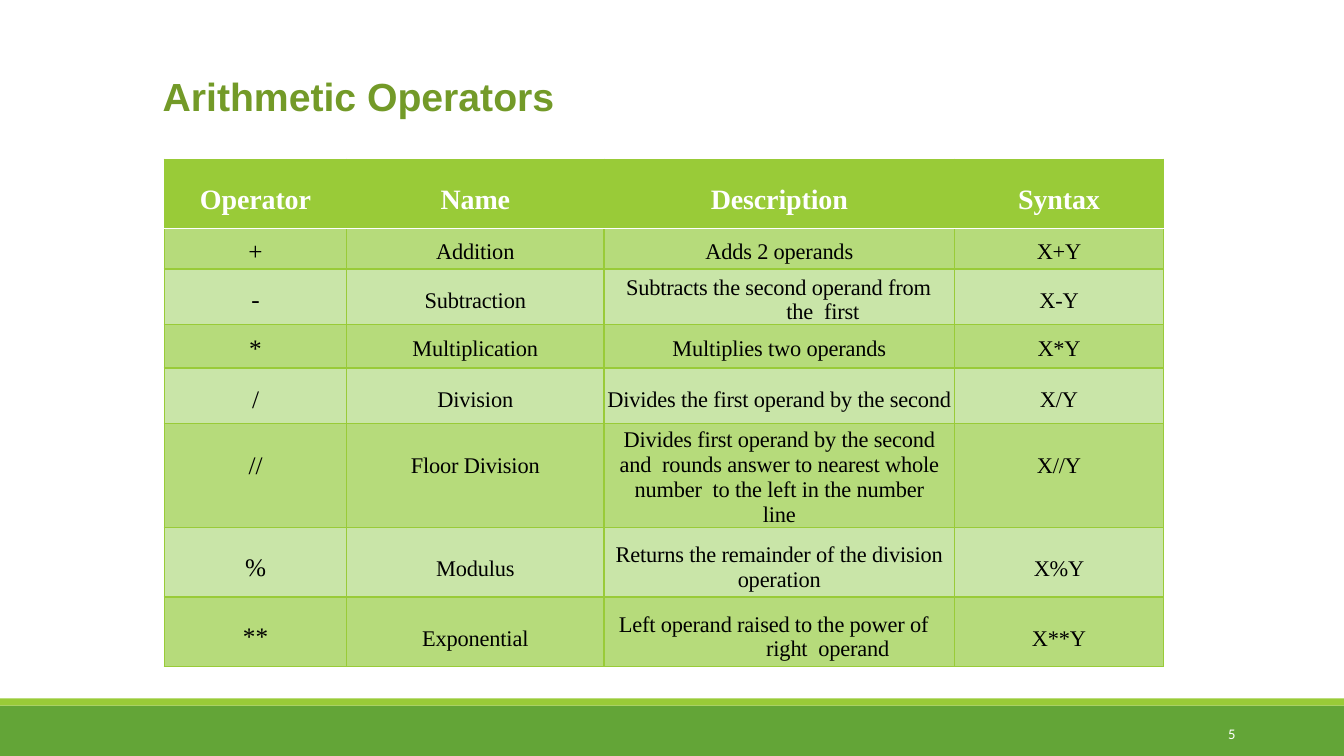
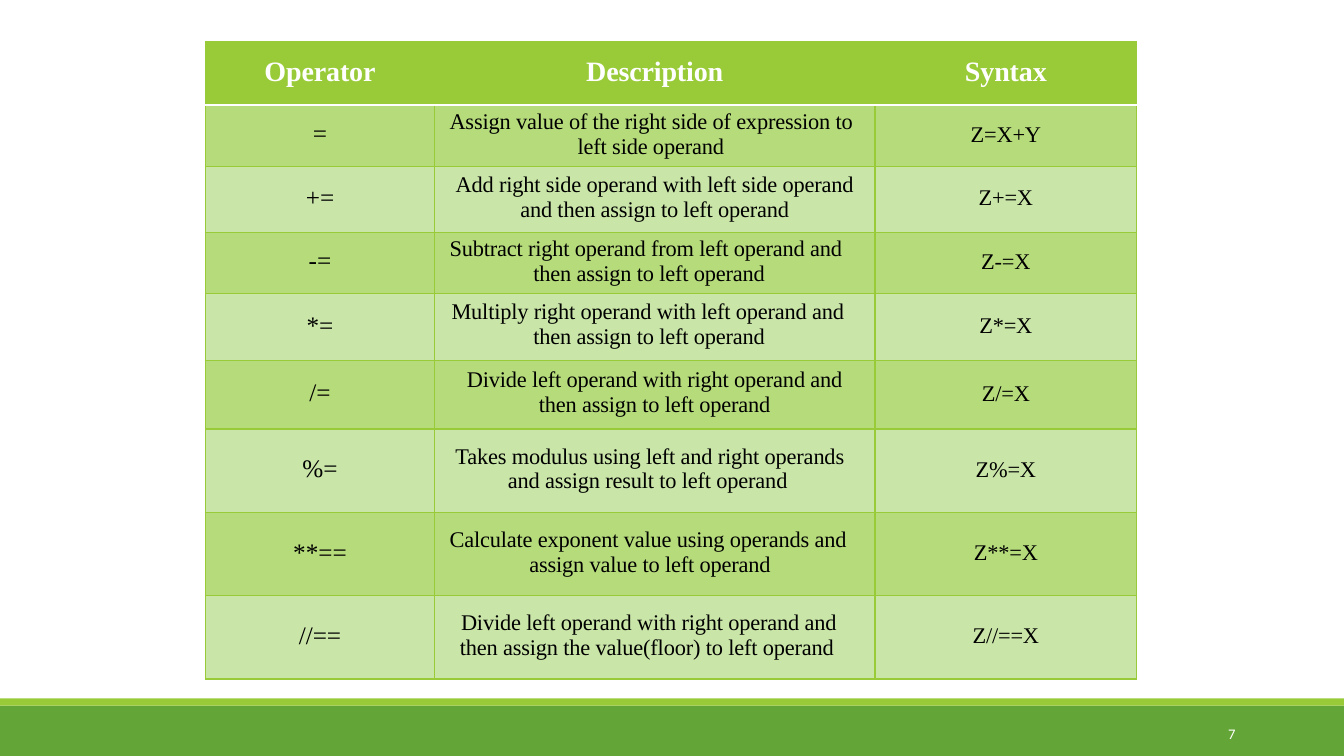
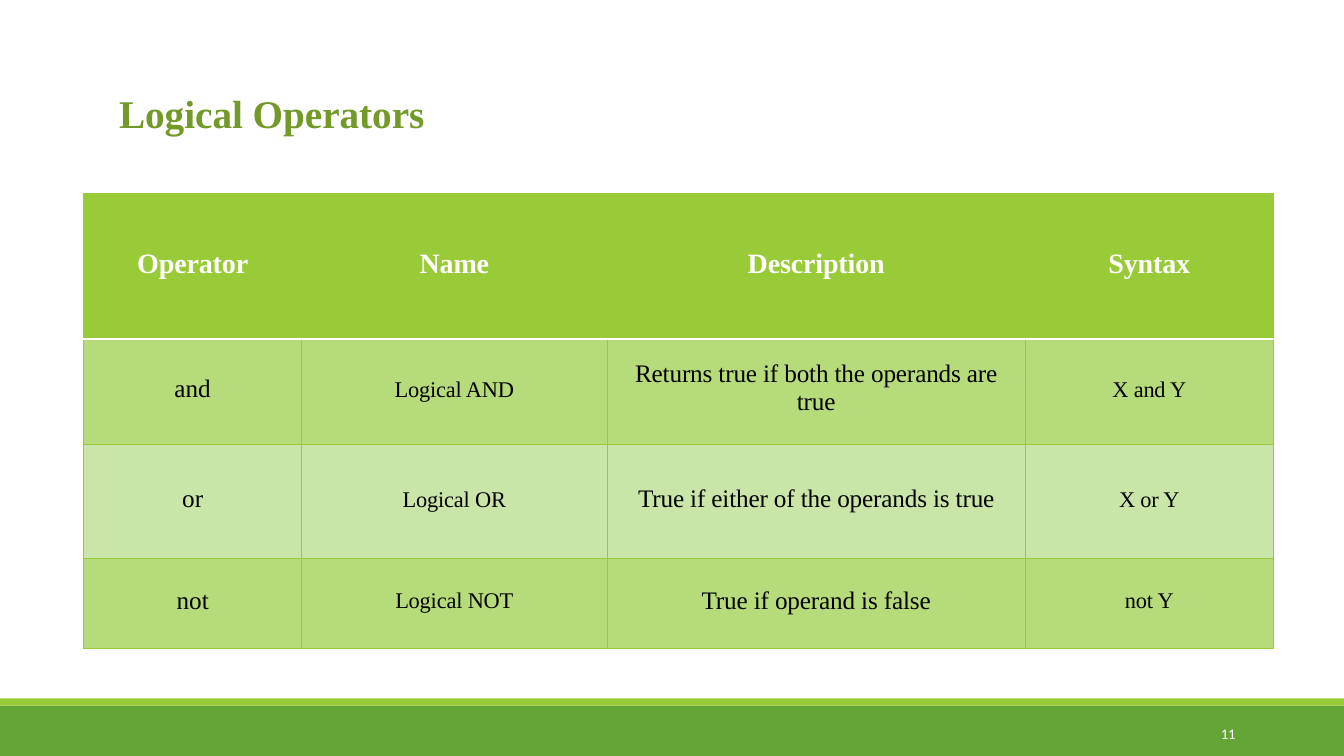
"""Build three slides of Python operator tables."""
from dataclasses import dataclass
from typing import Optional

from lxml import etree
from pptx import Presentation
from pptx.dml.color import RGBColor
from pptx.enum import shapes, text
from pptx.oxml import ns
from pptx.util import Cm, Pt

LIME, GREEN, TITLE = "99CB38", "63A537", "739A28"
WHITE, BLACK = "FFFFFF", "000000"
BANDS = ("C9E5A8", "B6DB7B")
SERIF = "Times New Roman"
WIDE, TALL = 33.87, 19.05


@dataclass
class Row:
    """A table row: its height, top insets and texts, in centimetres."""
    high: float
    lead: float
    side: float
    desc: float
    cells: tuple[str, ...]
    hang: Optional[tuple[float, float]] = None
    inset: float = 0


@dataclass
class Title:
    """A slide title and its place."""
    words: str
    left: float
    top: float
    face: str


@dataclass
class Page:
    """One slide with its table."""
    number: str
    left: float
    top: float
    cols: tuple[float, ...]
    rows: list[Row]
    size: float = 16
    title: Optional[Title] = None


PAGES = [
    Page("5", 4.14, 4.01, (4.6, 6.48, 8.84, 5.26), [
        Row(1.75, 0.64, 0.64, 0.64, ("Operator", "Name", "Description", "Syntax")),
        Row(1.02, 0.23, 0.28, 0.28, ("+", "Addition", "Adds 2 operands", "X+Y")),
        Row(1.4, 0.43, 0.48, 0.15, (
            "-", "Subtraction",
            "Subtracts the second operand from the  first", "X-Y"), (4.6, -4.04)),
        Row(1.09, 0.25, 0.3, 0.3, (
            "*", "Multiplication", "Multiplies two operands", "X*Y")),
        Row(1.4, 0.46, 0.5, 0.5, (
            "/", "Division", "Divides the first operand by the second", "X/Y")),
        Row(2.62, 0.71, 0.76, 0.1, (
            "//", "Floor Division",
            "Divides first operand by the second and  rounds answer to nearest"
            " whole number  to the left in the number line", "X//Y"), inset=0.33),
        Row(1.75, 0.66, 0.74, 0.38, (
            "%", "Modulus",
            "Returns the remainder of the division\noperation", "X%Y")),
        Row(1.75, 0.66, 0.74, 0.38, (
            "**", "Exponential",
            "Left operand raised to the power of right  operand", "X**Y"),
            (4.09, -3.71)),
    ], title=Title("Arithmetic Operators", 4.1, 1.7, "Arial")),
    Page("7", 5.18, 1.05, (5.77, 11.1, 6.6), [
        Row(1.6, 0.38, 0.38, 0.38, ("Operator", "Description", "Syntax")),
        Row(1.55, 0.38, 0.43, 0.1, (
            "=", "Assign value of the right side of expression to left side operand",
            "Z=X+Y"), (3.61, -3.23)),
        Row(1.65, 0.43, 0.48, 0.15, (
            "+=", "Add right side operand with left side operand\n"
            "and then assign to left operand", "Z+=X")),
        Row(1.55, 0.38, 0.43, 0.1, (
            "-=", "Subtract right operand from left operand and"
            " then assign to left operand", "Z-=X"), (2.49, -2.11)),
        Row(1.68, 0.46, 0.5, 0.15, (
            "*=", "Multiply right operand with left operand and"
            " then assign to left operand", "Z*=X"), (2.49, -2.06)),
        Row(1.73, 0.48, 0.53, 0.18, (
            "/=", "Divide left operand with right operand and\n"
            "then assign to left operand", "Z/=X")),
        Row(2.1, 0.66, 0.71, 0.38, (
            "%=", "Takes modulus using left and right operands"
            " and assign result to left operand", "Z%=X"), (1.85, -1.32)),
        Row(2.1, 0.66, 0.71, 0.38, (
            "**==", "Calculate exponent value using operands and"
            " assign value to left operand", "Z**=X"), (2.39, -2.01)),
        Row(2.1, 0.66, 0.71, 0.38, (
            "//==", "Divide left operand with right operand and"
            " then assign the value(floor) to left operand", "Z//==X"),
            (0.64, 0.03)),
    ]),
    Page("11", 2.11, 4.88, (5.49, 7.7, 10.54, 6.25), [
        Row(3.66, 1.37, 1.37, 1.37, ("Operator", "Name", "Description", "Syntax")),
        Row(2.67, 0.91, 0.97, 0.53, (
            "and", "Logical AND",
            "Returns true if both the operands are\ntrue", "X and Y")),
        Row(2.87, 1.02, 1.07, 1.02, (
            "or", "Logical OR", "True if either of the operands is true", "X or Y")),
        Row(2.26, 0.71, 0.76, 0.71, (
            "not", "Logical NOT", "True if operand is false", "not Y")),
    ], 18, Title("Logical Operators", 3.0, 2.11, SERIF)),
]


def paint(hue: str) -> RGBColor:
    """Turn a hex string into a colour."""
    return RGBColor.from_string(hue)


def style(para, size: float, hue: str, face: str = SERIF, bold: bool = False) -> None:
    """Set the font of a paragraph."""
    font = para.font
    font.size, font.name, font.bold = Pt(size), face, bold
    font.color.rgb = paint(hue)


def bare(frame) -> None:
    """Clear the insets of a text frame."""
    frame.margin_left = frame.margin_right = 0
    frame.margin_top = frame.margin_bottom = 0
    frame.auto_size = text.MSO_AUTO_SIZE.NONE
    frame.word_wrap = True
    frame.vertical_anchor = text.MSO_ANCHOR.MIDDLE


def band(slide, top: float, high: float, hue: str) -> None:
    """Draw a band across the slide."""
    bar = slide.shapes.add_shape(
        shapes.MSO_SHAPE.RECTANGLE, 0, Cm(top), Cm(WIDE), Cm(high))
    bar.shadow.inherit = False
    bar.fill.solid()
    bar.fill.fore_color.rgb = paint(hue)
    bar.line.fill.background()


def edge(cell, side: str, hue: str, width: float) -> None:
    """Draw one border of a cell."""
    props = cell._tc.get_or_add_tcPr()
    line = etree.SubElement(props, ns.qn(f"a:ln{side}"), w=str(Pt(width)))
    fill = etree.SubElement(line, ns.qn("a:solidFill"))
    etree.SubElement(fill, ns.qn("a:srgbClr"), val=hue)


def write(cell, row: Row, col: int, head: bool, size: float) -> None:
    """Fill in the text of a cell."""
    desc = col == len(row.cells) - 2
    pad = row.lead if col == 0 else row.desc if desc else row.side
    points = 20 if head else 18 if col == 0 else size if desc else 16
    cell.margin_top, cell.margin_bottom = Cm(pad), 0
    cell.margin_left = cell.margin_right = Cm(row.inset if desc else 0)
    cell.text = row.cells[col]
    for para in cell.text_frame.paragraphs:
        para.alignment = text.PP_ALIGN.CENTER
        if desc and row.hang:
            para.alignment = text.PP_ALIGN.LEFT
            props = para._p.get_or_add_pPr()
            for key, value in zip(("marL", "indent"), row.hang):
                props.set(key, str(Cm(value)))
        style(para, points, WHITE if head else BLACK, bold=head)
        if head or col:
            for run in para.runs:
                run._r.get_or_add_rPr().set("spc", "-10")


def grid(slide, page: Page) -> None:
    """Draw the table of a page."""
    table = slide.shapes.add_table(
        len(page.rows), len(page.cols), Cm(page.left), Cm(page.top),
        Cm(sum(page.cols)), Cm(sum(row.high for row in page.rows))).table
    table.horz_banding = False
    for col, width in enumerate(page.cols):
        table.columns[col].width = Cm(width)
    for num, row in enumerate(page.rows):
        table.rows[num].height = Cm(row.high)
        for col in range(len(page.cols)):
            cell = table.cell(num, col)
            write(cell, row, col, num == 0, page.size)
            for side in "LRTB":
                pale = (num, side) in ((0, "B"), (1, "T"))
                edge(cell, side, WHITE if pale else LIME, 1.25 if pale else 1)
            cell.fill.solid()
            cell.fill.fore_color.rgb = paint(BANDS[num % 2] if num else LIME)


def head(slide, title: Title) -> None:
    """Place and format the title."""
    box = slide.shapes.title
    box.left, box.top = Cm(title.left), Cm(title.top)
    box.width, box.height = Cm(14), Cm(1.45)
    bare(box.text_frame)
    box.text_frame.text = title.words
    para = box.text_frame.paragraphs[0]
    para.alignment = text.PP_ALIGN.LEFT
    style(para, 28, TITLE, title.face, True)


def count(slide, number: str) -> None:
    """Write the slide number."""
    box = slide.shapes.add_textbox(Cm(27.51), Cm(17.97), Cm(3.63), Cm(1.02))
    bare(box.text_frame)
    box.text_frame.text = number
    para = box.text_frame.paragraphs[0]
    para.alignment = text.PP_ALIGN.RIGHT
    style(para, 10.5, WHITE, "Calibri")


def main() -> None:
    """Build and save the slides."""
    deck = Presentation()
    deck.slide_width, deck.slide_height = Cm(WIDE), Cm(TALL)
    for page in PAGES:
        slide = deck.slides.add_slide(deck.slide_layouts[5 if page.title else 6])
        band(slide, 17.78, 1.27, GREEN)
        band(slide, 17.6, 0.18, LIME)
        grid(slide, page)
        count(slide, page.number)
        if page.title:
            head(slide, page.title)
    deck.save("out.pptx")


if __name__ == "__main__":
    main()
